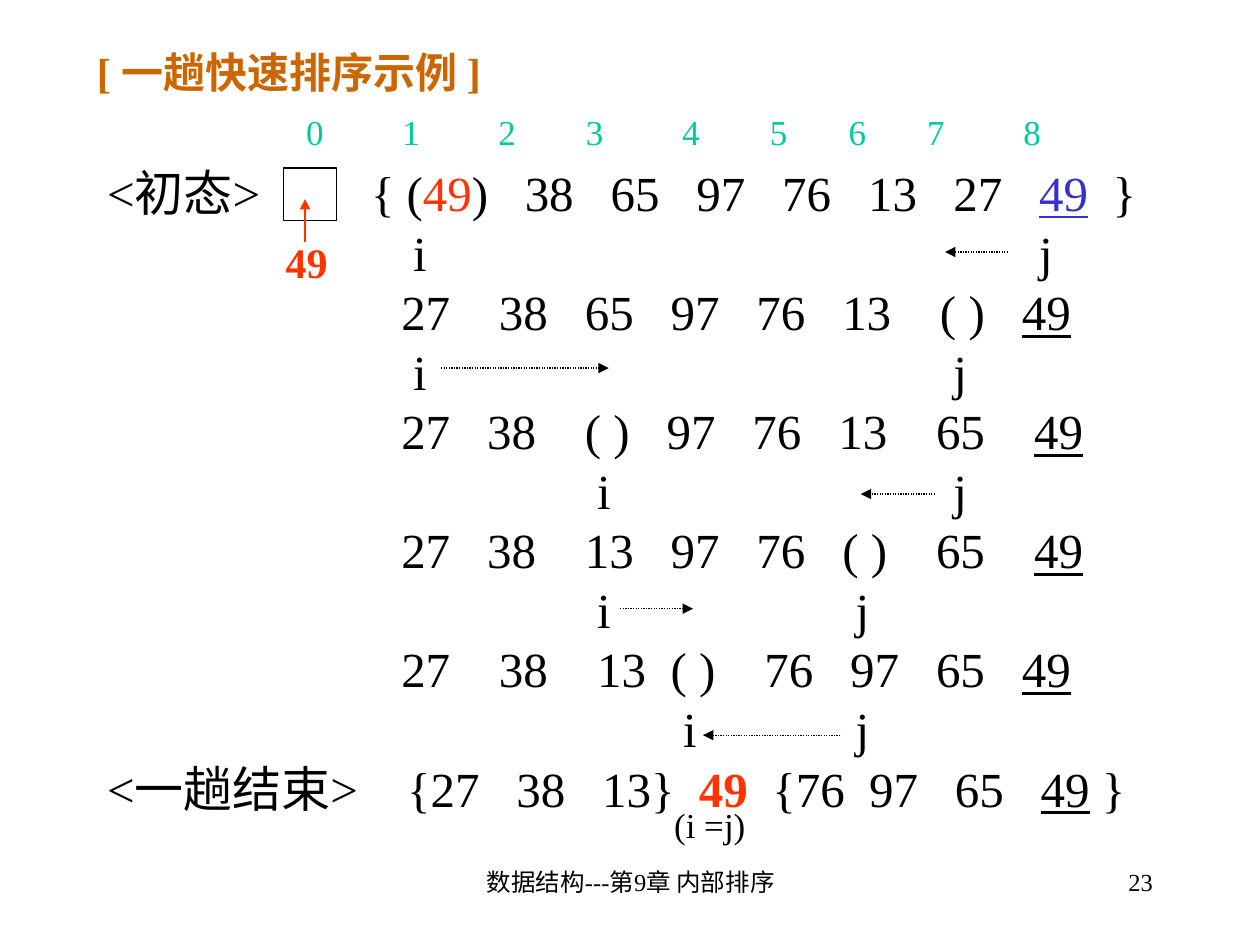
"""Build the slide that traces one pass of quicksort."""
from dataclasses import dataclass

from lxml import etree
from pptx import Presentation
from pptx.dml.color import RGBColor
from pptx.enum.dml import MSO_LINE
from pptx.enum.shapes import MSO_CONNECTOR, MSO_SHAPE
from pptx.enum.text import MSO_ANCHOR, MSO_AUTO_SIZE, PP_ALIGN
from pptx.oxml.ns import qn
from pptx.util import Cm, Pt

COLORS = {"ink": "000000", "title": "CC6600", "pivot": "FF3300", "equal": "3333CC", "index": "00CC99"}
FONT = "Times New Roman"
LEFT, CENTER, RIGHT = PP_ALIGN.LEFT, PP_ALIGN.CENTER, PP_ALIGN.RIGHT
STRAIGHT = MSO_CONNECTOR.STRAIGHT
DOTTED = MSO_LINE.ROUND_DOT
BODY_SIZE = 28
ROW_HEIGHT = 27
ROW_GAP = 7
POINT_IN_CM = 2.54 / 72


@dataclass
class Item:
    """A piece of text at a column, counted in quarter ems; None follows on."""
    column: float | None
    text: str
    color: str = "ink"
    bold: bool = False
    underline: bool = False


@dataclass
class Label:
    """A text box holding one line of items."""
    left: float
    top: float
    width: float
    height: float
    size: int
    items: list[Item]
    alignment: PP_ALIGN = LEFT


@dataclass
class Arrow:
    """A straight arrow between two points."""
    start: tuple[float, float]
    end: tuple[float, float]
    color: str = "ink"
    dotted: bool = True


def color_of(name: str) -> RGBColor:
    """Return the named colour."""
    return RGBColor.from_string(COLORS[name])


def add_run(paragraph, text: str, size: int, item: Item) -> None:
    """Add one formatted run."""
    run = paragraph.add_run()
    run.text = text
    run.font.name = FONT
    run.font.size = Pt(size)
    run.font.bold = item.bold
    run.font.underline = item.underline
    run.font.color.rgb = color_of(item.color)


def write_items(paragraph, items: list[Item], size: int) -> None:
    """Write items at tab stops derived from their columns."""
    columns = [item.column for item in items if item.column]
    if columns:
        tab_list = etree.SubElement(paragraph._p.get_or_add_pPr(), qn("a:tabLst"))
        for column in columns:
            position = Cm(round(column * size / 4 * POINT_IN_CM, 2))
            etree.SubElement(tab_list, qn("a:tab"), pos=str(position), algn="l")
    for item in items:
        if item.column:
            add_run(paragraph, "\t", size, Item(None, ""))
        add_run(paragraph, item.text, size, item)


def add_label(slide, label: Label) -> None:
    """Add a single-line text box."""
    shape = slide.shapes.add_textbox(Cm(label.left), Cm(label.top), Cm(label.width), Cm(label.height))
    shape.text_frame.word_wrap = True
    paragraph = shape.text_frame.paragraphs[0]
    paragraph.alignment = label.alignment
    write_items(paragraph, label.items, label.size)


def add_arrow(slide, arrow: Arrow) -> None:
    """Add a connector with a triangular head at its end."""
    start, end = map(Cm, arrow.start), map(Cm, arrow.end)
    connector = slide.shapes.add_connector(STRAIGHT, *start, *end)
    connector.line.width = Pt(0.75)
    connector.line.color.rgb = color_of(arrow.color)
    if arrow.dotted:
        connector.line.dash_style = DOTTED
    etree.SubElement(connector.line._get_or_add_ln(), qn("a:tailEnd"), type="triangle")
    etree.SubElement(connector._element.spPr, qn("a:effectLst"))


def number_row(columns: list[float], texts: list[str]) -> list[Item]:
    """Return a row of keys followed by the underlined second 49."""
    keys = [Item(column, text) for column, text in zip(columns, texts)]
    return keys + [Item(columns[-1], "49", underline=True)]


def pointer_row(low: float, high: float) -> list[Item]:
    """Return a row with the two scanning pointers."""
    return [Item(low, "i"), Item(high, "j")]


ROWS = [
    [Item(0, "<初态>"), Item(21.55, "{ ("), Item(None, "49", "pivot"), Item(None, ")")]
    + [Item(34.1 + 7 * step, key) for step, key in enumerate(["38", "65", "97", "76", "13", "27"])]
    + [Item(76.1, "49", "equal", underline=True), Item(82.1, "}")],
    pointer_row(25, 76.1),
    number_row([24, 32, 39, 46, 53, 60, 68, 74.67], ["27", "38", "65", "97", "76", "13", "( )"]),
    pointer_row(25, 69.1),
    number_row([24, 31, 39, 45.67, 52.67, 59.67, 67.67, 75.67], ["27", "38", "( )", "97", "76", "13", "65"]),
    pointer_row(40, 69.1),
    number_row([24, 31, 39, 46, 53, 60, 67.67, 75.67], ["27", "38", "13", "97", "76", "( )", "65"]),
    pointer_row(40, 61.1),
    number_row([24, 32, 40, 46, 53.67, 60.67, 67.67, 74.67], ["27", "38", "13", "( )", "76", "97", "65"]),
    pointer_row(47, 61.1),
    [Item(0, "<一趟结束>"), Item(24.5, "{27"), Item(33.4, "38"), Item(40.4, "13}"),
     Item(48.3, "49", "pivot", bold=True), Item(54.3, "{76"), Item(62.2, "97"), Item(69.2, "65"),
     Item(76.2, "49", underline=True), Item(None, " }")],
]

INDEX_COLUMNS = [0, 11, 22, 32, 43, 53, 62, 71, 82]
LABELS = [
    Label(8.69, 17.35, 8.05, 1.27, 14, [Item(None, "数据结构---第9章 内部排序")], CENTER),
    Label(18.21, 17.35, 5.28, 1.27, 14, [Item(None, "23")], RIGHT),
    Label(13.34, 16.08, 2.34, 1.12, 20, [Item(None, "(i =j)")]),
    Label(5.92, 2.11, 15.88, 1.12, 20,
          [Item(column, str(index), "index") for index, column in enumerate(INDEX_COLUMNS)]),
    Label(5.51, 4.65, 1.7, 1.27, 24, [Item(None, "49", "pivot", bold=True)]),
]
ARROWS = [
    Arrow((20.32, 5.08), (19.05, 5.08)),
    Arrow((8.89, 7.42), (12.27, 7.42)),
    Arrow((18.85, 9.96), (17.35, 9.96)),
    Arrow((12.5, 12.27), (13.97, 12.27)),
    Arrow((16.94, 14.82), (14.17, 14.82)),
    Arrow((6.15, 4.88), (6.15, 4.01), "pivot", dotted=False),
]


def add_title(slide) -> None:
    """Place and fill the title placeholder."""
    title = slide.shapes.title
    title.left, title.top, title.width, title.height = Cm(1.7), Cm(0.71), Cm(21.59), Cm(1.47)
    frame = title.text_frame
    frame.auto_size = MSO_AUTO_SIZE.NONE
    frame.vertical_anchor = MSO_ANCHOR.MIDDLE
    paragraph = frame.paragraphs[0]
    paragraph.alignment = LEFT
    write_items(paragraph, [Item(None, "[ 一趟快速排序示例 ]", "title", bold=True)], 24)


def add_trace(slide) -> None:
    """Add the rows of the sorting trace."""
    frame = slide.shapes.add_textbox(Cm(1.91), Cm(3.39), Cm(21.59), Cm(13.55)).text_frame
    frame.word_wrap = True
    for index, items in enumerate(ROWS):
        paragraph = frame.add_paragraph() if index else frame.paragraphs[0]
        write_items(paragraph, items, BODY_SIZE)
        paragraph.line_spacing = Pt(ROW_HEIGHT)
        paragraph.space_before = Pt(ROW_GAP if index else 0)


def add_sentinel_box(slide) -> None:
    """Add the outlined cell that receives the pivot."""
    shape = slide.shapes.add_shape(MSO_SHAPE.RECTANGLE, Cm(5.72), Cm(3.39), Cm(1.06), Cm(1.06))
    shape.shadow.inherit = False
    shape.fill.background()
    shape.line.color.rgb = color_of("ink")
    shape.line.width = Pt(0.75)


def main() -> None:
    """Build and save the presentation."""
    presentation = Presentation()
    presentation.slide_width, presentation.slide_height = Cm(25.4), Cm(19.05)
    slide = presentation.slides.add_slide(presentation.slide_layouts[5])
    add_title(slide)
    add_trace(slide)
    add_sentinel_box(slide)
    for label in LABELS:
        add_label(slide, label)
    for arrow in ARROWS:
        add_arrow(slide, arrow)
    presentation.save("out.pptx")


if __name__ == "__main__":
    main()
